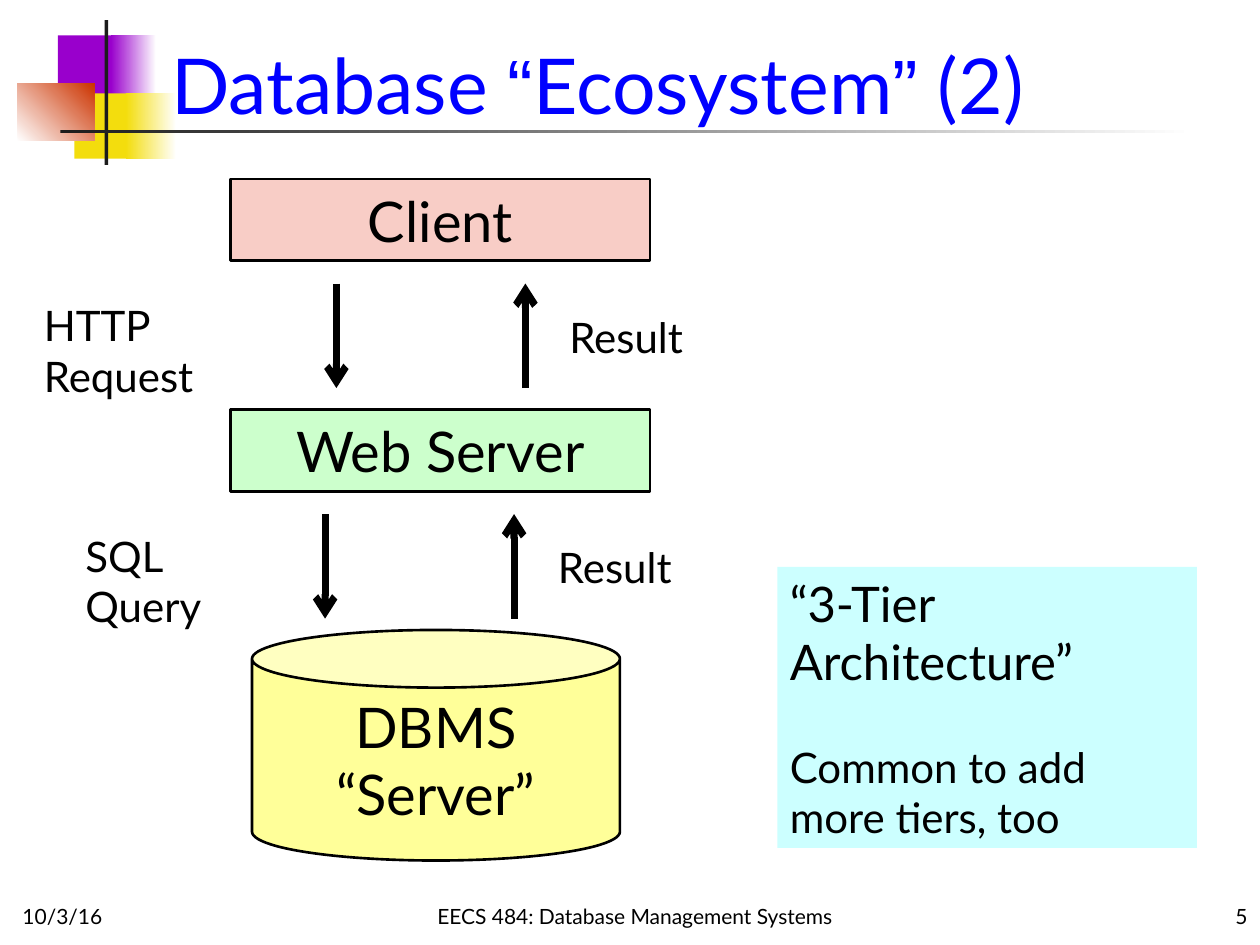
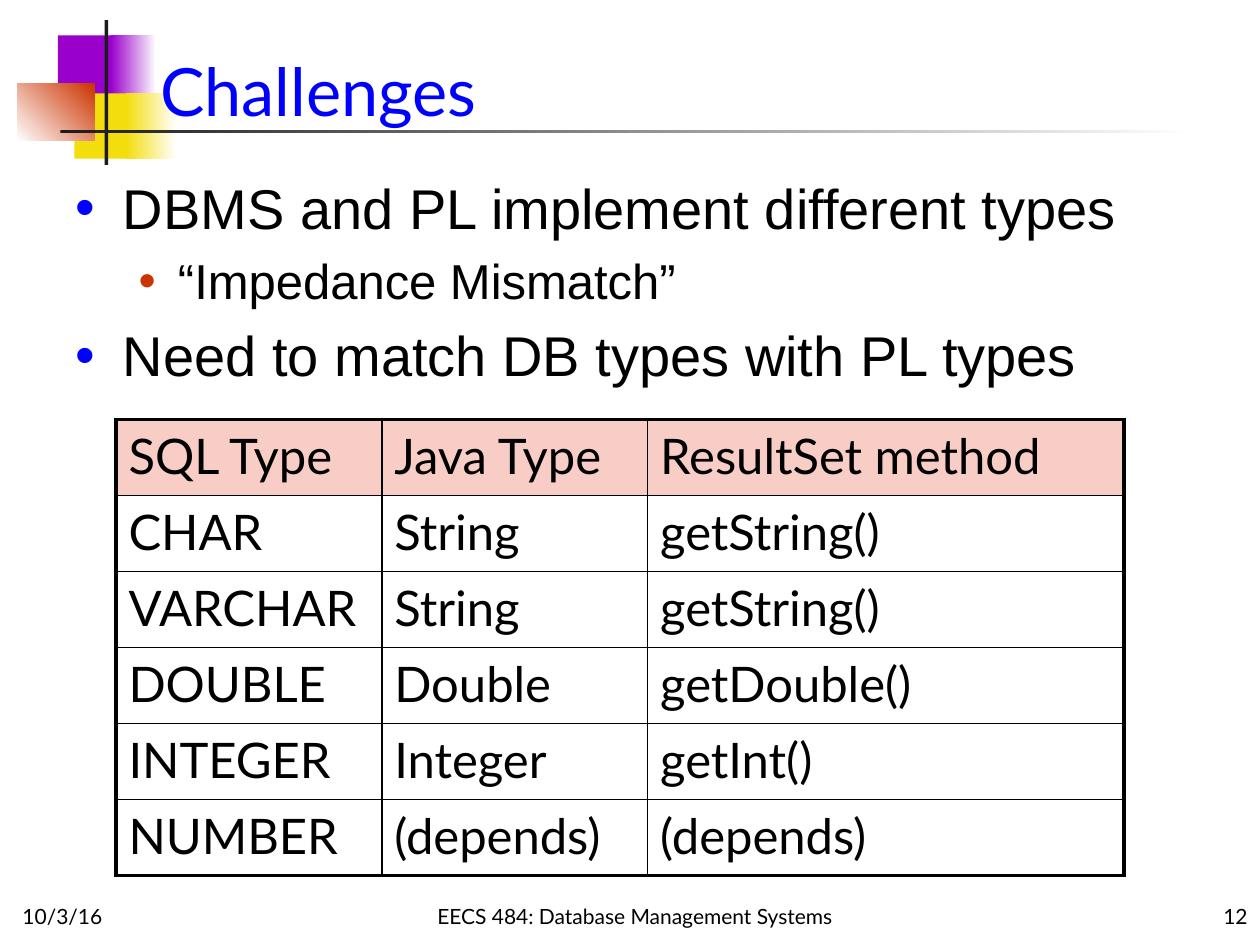
from lxml.etree import SubElement
from pptx import Presentation
from pptx.dml.color import RGBColor
from pptx.enum.shapes import MSO_CONNECTOR, MSO_SHAPE
from pptx.enum.text import MSO_ANCHOR, MSO_AUTO_SIZE, PP_ALIGN
from pptx.oxml.ns import qn
from pptx.util import Emu, Pt

# Shared look
PX = 9144  # 100 px to the inch
SANS, QUOTE_FONT = "Lato", "Arial"
BLACK, WHITE, INK, BLUE = "000000", "FFFFFF", "1C1C1C", "0000FF"
PURPLE, GOLD, RED = "9900CC", "F3DD0D", "CC3300"
PINK, GREEN, YELLOW, CYAN = "F8CDC6", "CCFFCC", "FFFF99", "CCFFFF"
LEFT, CENTER, RIGHT = PP_ALIGN.LEFT, PP_ALIGN.CENTER, PP_ALIGN.RIGHT
TOP, MIDDLE, BOTTOM = MSO_ANCHOR.TOP, MSO_ANCHOR.MIDDLE, MSO_ANCHOR.BOTTOM

# Left, top, width, height, colours (two make a gradient), angle
ORNAMENTS = [
    (46, 28, 48, 52, [PURPLE], 0),
    (88, 28, 36, 52, [PURPLE, WHITE], 0),
    (59, 74, 46, 52, [GOLD], 0),
    (100, 74, 40, 52, [GOLD, WHITE], 0),
    (14, 66, 61, 46, [WHITE, RED], 45),
    (83, 16, 3, 115, [INK], 0),
    (48, 103, 900, 3, [INK, WHITE], 0),
]
DATE, COURSE = "10/3/16", "EECS 484: Database Management Systems"

TYPE_ROWS = [
    ("SQL Type", "Java Type", "ResultSet method"),
    ("CHAR", "String", "getString()"),
    ("VARCHAR", "String", "getString()"),
    ("DOUBLE", "Double", "getDouble()"),
    ("INTEGER", "Integer", "getInt()"),
    ("NUMBER", "(depends)", "(depends)"),
]
TYPE_COLUMNS = (211, 211, 378)


def px(*lengths):
    return [Emu(length * PX) for length in lengths]


def rgb(color):
    return RGBColor.from_string(color)


def apply(target, values):
    for name, value in values.items():
        setattr(target, name, value)


def style_run(run, size, color=BLACK, font=SANS):
    apply(run.font, {"size": Pt(size), "name": font})
    run.font.color.rgb = rgb(color)


def write(frame, lines, size, align=LEFT, anchor=TOP):
    """Fill a frame with one paragraph for each line."""
    apply(frame, {"word_wrap": True, "vertical_anchor": anchor, "text": "\n".join(lines)})
    for paragraph in frame.paragraphs:
        paragraph.alignment = align
        for run in paragraph.runs:
            style_run(run, size)


def add_label(slide, box, text, size=24, align=LEFT, anchor=TOP):
    label = slide.shapes.add_textbox(*px(*box))
    write(label.text_frame, [text], size, align, anchor)


def add_block(slide, box, colors, angle=0, kind=MSO_SHAPE.RECTANGLE, outline=0):
    block = slide.shapes.add_shape(kind, *px(*box))
    block.shadow.inherit = False
    if len(colors) == 1:
        block.fill.solid()
        block.fill.fore_color.rgb = rgb(colors[0])
    else:
        block.fill.gradient()
        block.fill.gradient_angle = angle
        for stop, color in zip(block.fill.gradient_stops, colors):
            stop.color.rgb = rgb(color)
    if outline:
        block.line.color.rgb = rgb(BLACK)
        block.line.width = Pt(outline)
    else:
        block.line.fill.background()
    return block


def add_tier(slide, box, lines, color, kind=MSO_SHAPE.RECTANGLE):
    tier = add_block(slide, box, [color], kind=kind, outline=1.5)
    write(tier.text_frame, lines, 32, CENTER, MIDDLE)


def add_arrow(slide, x, start, end):
    arrow = slide.shapes.add_connector(MSO_CONNECTOR.STRAIGHT, *px(x, start, x, end))
    arrow.line.color.rgb = rgb(BLACK)
    arrow.line.width = Pt(4)
    SubElement(arrow.line._get_or_add_ln(), qn("a:tailEnd"), type="arrow")
    SubElement(arrow.element.spPr, qn("a:effectLst"))


def place(placeholder, box):
    apply(placeholder, dict(zip(("left", "top", "width", "height"), px(*box))))
    placeholder.text_frame.auto_size = MSO_AUTO_SIZE.NONE


def start_slide(prs, layout, number, title_box, title_runs, size):
    """Ornaments, footer and title, the same on every slide."""
    slide = prs.slides.add_slide(prs.slide_layouts[layout])
    for *box, colors, angle in ORNAMENTS:
        add_block(slide, box, colors, angle)
    for left, width, text, align in (
        (8, 208, DATE, LEFT),
        (233, 542, COURSE, CENTER),
        (792, 208, str(number), RIGHT),
    ):
        add_label(slide, (left, 692, width, 50), text, 12, align, BOTTOM)

    # Placeholders go in front of the ornaments
    for placeholder in slide.placeholders:
        slide.shapes.element.append(placeholder.element)
    title = slide.shapes.title
    place(title, title_box)
    title.text_frame.vertical_anchor = BOTTOM
    heading = title.text_frame.paragraphs[0]
    heading.alignment = LEFT
    for text, font in title_runs:
        run = heading.add_run()
        run.text = text
        style_run(run, size, BLUE, font)
    return slide


def fill_list(body, items):
    """Each item is text, level, size and bullet colour."""
    frame = body.text_frame
    frame.text = "\n".join(item[0] for item in items)
    for paragraph, (_, level, size, bullet_color) in zip(frame.paragraphs, items):
        paragraph.level = level
        style_run(paragraph.runs[0], size, font="Arial")
        properties = paragraph._p.get_or_add_pPr()
        SubElement(SubElement(properties, qn("a:buClr")), qn("a:srgbClr"), val=bullet_color)
        SubElement(properties, qn("a:buChar"), char="•")


def add_borders(cell, outer_sides):
    properties = cell._tc.get_or_add_tcPr()
    for side in "LRTB":
        width = Pt(2.25 if side in outer_sides else 1)
        line = SubElement(properties, qn("a:ln" + side), w=str(width))
        SubElement(SubElement(line, qn("a:solidFill")), qn("a:srgbClr"), val=BLACK)


def add_type_table(slide, box):
    last_row, last_column = len(TYPE_ROWS) - 1, len(TYPE_COLUMNS) - 1
    table = slide.shapes.add_table(last_row + 1, last_column + 1, *px(*box)).table
    apply(table, {"first_row": False, "horz_banding": False})
    for column, width in zip(table.columns, px(*TYPE_COLUMNS)):
        column.width = width
    for r, row in enumerate(TYPE_ROWS):
        for c, text in enumerate(row):
            cell = table.cell(r, c)
            edges = {"L": c == 0, "R": c == last_column, "T": r == 0, "B": r == last_row}
            add_borders(cell, [side for side, outer in edges.items() if outer])
            if r == 0:
                cell.fill.solid()
                cell.fill.fore_color.rgb = rgb(PINK)
            else:
                cell.fill.background()
            write(cell.text_frame, [text], 28)


def build_ecosystem(prs):
    title = [("Database ", SANS), ("“", QUOTE_FONT), ("Ecosystem", SANS),
             ("”", QUOTE_FONT), (" (2)", SANS)]
    slide = start_slide(prs, 5, 5, (126, -17, 852, 125), title, 44)

    # Three tiers
    add_tier(slide, (200, 500, 292, 183), ["DBMS", "“Server”"], YELLOW, MSO_SHAPE.CAN)
    add_tier(slide, (183, 142, 333, 65), ["Client"], PINK)
    add_tier(slide, (183, 325, 333, 65), ["Web Server"], GREEN)

    # Requests go down, results come back up
    for request, request_x, top, down_x in (
        ("HTTP\vRequest", 25, 225, 267),
        ("SQL\vQuery", 58, 408, 258),
    ):
        up_x = down_x + 150
        add_arrow(slide, down_x, top, top + 83)
        add_arrow(slide, up_x, top + 83, top)
        add_label(slide, (request_x, top + 8, 150, 90), request)
        add_label(slide, (up_x + 25, top + 17, 120, 50), "Result")

    # Remark
    remark = add_block(slide, (617, 450, 333, 223), [CYAN]).text_frame
    write(remark, ["“3-Tier", "Architecture”", "Common to add more tiers, too"], 28)
    extra = remark.paragraphs[-1]
    extra.space_before = Pt(29)
    extra.runs[0].font.size = Pt(24)


def build_challenges(prs):
    slide = start_slide(prs, 1, 12, (117, -17, 899, 125), [("Challenges", SANS)], 38)
    body = slide.placeholders[1]
    place(body, (50, 133, 925, 542))
    fill_list(body, [
        ("DBMS and PL implement different types", 0, 32, BLUE),
        ("“Impedance Mismatch”", 1, 28, RED),
        ("Need to match DB types with PL types", 0, 32, BLUE),
    ])
    add_type_table(slide, (92, 333, 800, 362))


def main():
    prs = Presentation()
    apply(prs, dict(zip(("slide_width", "slide_height"), px(1000, 750))))
    build_ecosystem(prs)
    build_challenges(prs)
    prs.save("out.pptx")


if __name__ == "__main__":
    main()
